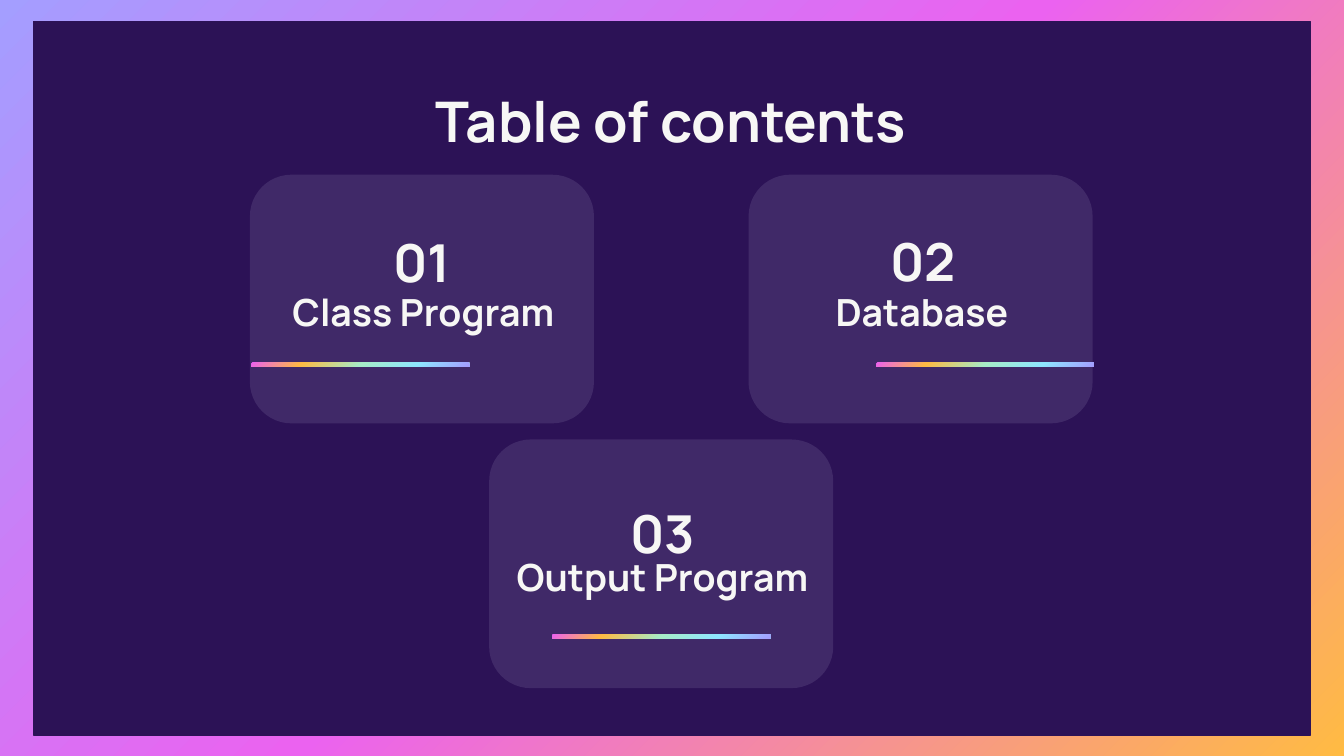
from lxml import etree
from pptx import Presentation
from pptx.dml.color import RGBColor
from pptx.enum.shapes import MSO_SHAPE as Preset
from pptx.enum.text import MSO_ANCHOR as Anchor, PP_ALIGN as Align
from pptx.oxml.ns import qn
from pptx.util import Pt

EMU_PER_PX = 4572  # 200 px to the inch
PANEL, CARD, TEXT = "2C1256", "402968", "F7F7F5"
BACKGROUND_STOPS = [(0, "A49EFF"), (50, "EB62F0"), (100, "FFBB43")]
BAR_STOPS = [(0, "EB62F0"), (23, "FFBB43"), (50, "A7ECC8"),
             (76, "8EE6FF"), (100, "A49EFF")]

CARD_SIZE = (512, 370)
# number, label, card corner, number offset, bar offset
CARDS = [
    ("01", "Class Program", (372, 260), (142, 80), (2, 280)),
    ("02", "Database", (1114, 260), (146, 78), (190, 280)),
    ("03", "Output Program", (728, 654), (144, 88), (94, 290)),
]


def px(*lengths):
    return [length * EMU_PER_PX for length in lengths]


def color(hex_string):
    return RGBColor.from_string(hex_string)


def fill_gradient(fill, element, stops):
    """Give fill, which lies within element, a diagonal gradient."""
    fill.gradient()
    fill.gradient_angle = 315
    stop_list = element.find(".//" + qn("a:gsLst"))
    for old_stop in list(stop_list):
        stop_list.remove(old_stop)
    for percent, hex_string in stops:
        stop = etree.SubElement(stop_list, qn("a:gs"), pos=str(percent * 1000))
        etree.SubElement(stop, qn("a:srgbClr"), val=hex_string)


def add_block(slide, preset, box, fill=None, line=None):
    shape = slide.shapes.add_shape(preset, *px(*box))
    shape.shadow.inherit = False
    if fill:
        shape.fill.solid()
        shape.fill.fore_color.rgb = color(fill)
    if line:
        shape.line.color.rgb = color(line)
        shape.line.width = Pt(0.75)
    else:
        shape.line.fill.background()
    return shape


def add_text(slide, text, box, size, font="Manrope", fill=TEXT, bold=True):
    frame = slide.shapes.add_textbox(*px(*box)).text_frame
    frame.word_wrap = True
    frame.vertical_anchor = Anchor.MIDDLE
    (frame.margin_left, frame.margin_top,
     frame.margin_right, frame.margin_bottom) = px(20, 20, 20, 20)
    paragraph = frame.paragraphs[0]
    paragraph.alignment = Align.CENTER
    run = paragraph.add_run()
    run.text = text
    run.font.name, run.font.size, run.font.bold = font, Pt(size), bold
    run.font.color.rgb = color(fill)


def add_card(slide, box, number, label, number_offset, bar_offset):
    left, top, width, height = box
    card = add_block(slide, Preset.ROUNDED_RECTANGLE, box, CARD)
    card.adjustments[0] = 0.167

    number_x, number_y = number_offset
    add_text(slide, number, (left + number_x, top + number_y, 228, 100), 28)
    add_text(slide, label, (left + 2, top + 164, width, 80), 20)

    bar_x, bar_y = bar_offset
    bar = add_block(slide, Preset.RECTANGLE, (left + bar_x, top + bar_y, 324, 6))
    fill_gradient(bar.fill, bar.element, BAR_STOPS)


def add_contents_slide(presentation):
    slide = presentation.slides.add_slide(presentation.slide_layouts[6])
    fill_gradient(slide.background.fill, slide.element, BACKGROUND_STOPS)
    add_block(slide, Preset.RECTANGLE, (50, 32, 1900, 1062), PANEL, line=PANEL)
    add_text(slide, "Table of contents", (156, 116, 1686, 124), 30)
    for number, label, corner, number_offset, bar_offset in CARDS:
        add_card(slide, corner + CARD_SIZE, number, label,
                 number_offset, bar_offset)


def main():
    presentation = Presentation()
    presentation.slide_width, presentation.slide_height = px(2000, 1125)
    add_contents_slide(presentation)
    presentation.save("out.pptx")


if __name__ == "__main__":
    main()
